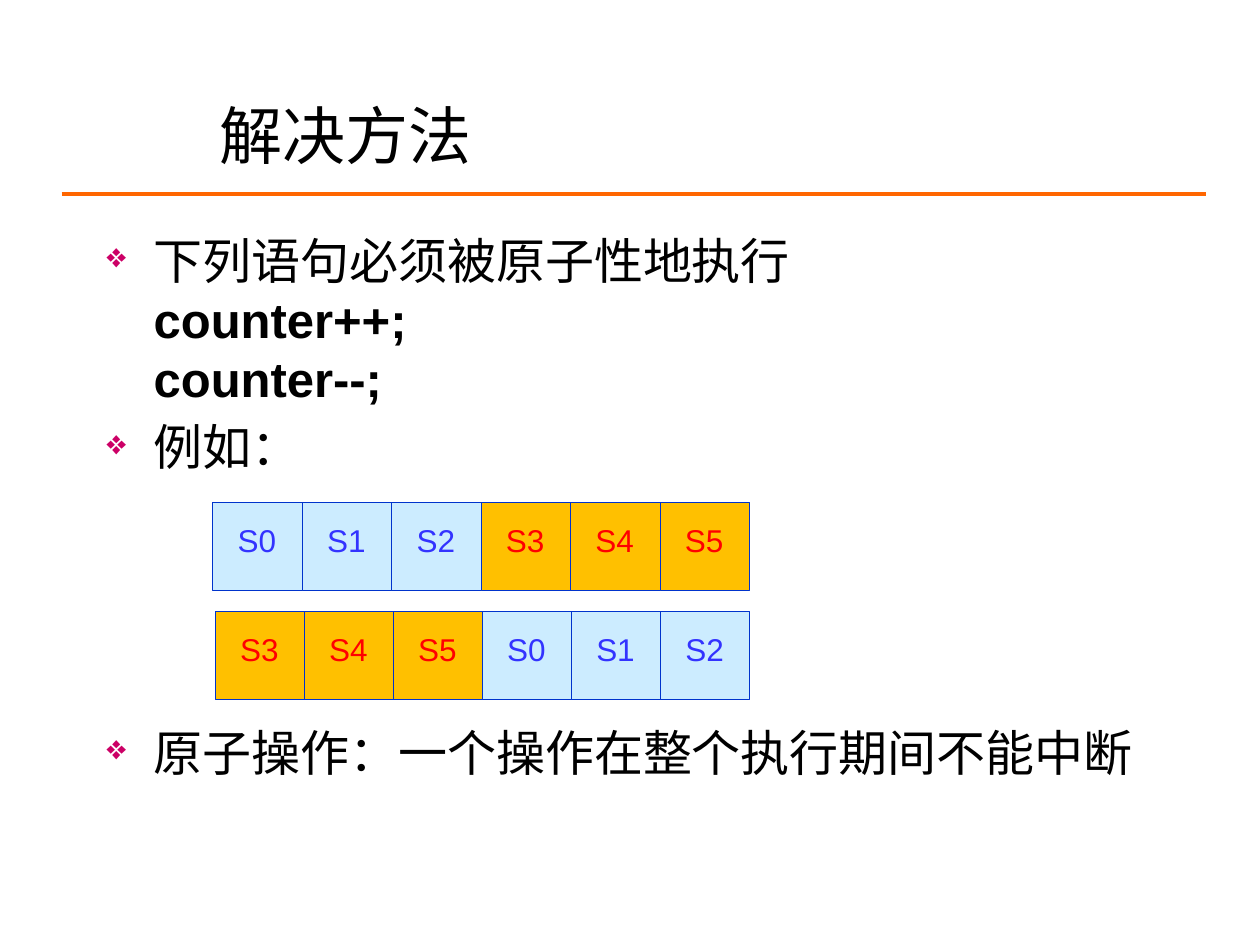
"""Build the slide on executing statements atomically."""
from dataclasses import dataclass

from lxml.etree import SubElement
from pptx import Presentation
from pptx.dml.color import RGBColor
from pptx.enum.shapes import MSO_CONNECTOR, MSO_SHAPE
from pptx.enum.text import MSO_ANCHOR, MSO_AUTO_SIZE, PP_ALIGN
from pptx.oxml.ns import qn
from pptx.util import Cm, Pt


@dataclass
class Bullet:
    text: str
    code: tuple[str, ...] = ()
    before: float = 5.6


@dataclass
class Sequence:
    left: float
    top: float
    steps: tuple[str, ...]


COUNTER_STEPS = ("S0", "S1", "S2")
OTHER_STEPS = ("S3", "S4", "S5")
ROW_RIGHT = 15.11
CELL_HEIGHT = 1.78
BULLETS = [
    Bullet("下列语句必须被原子性地执行", ("counter++;", "counter--;"), 0),
    Bullet("例如："),
    Bullet("原子操作：一个操作在整个执行期间不能中断", before=141),
]
SEQUENCES = [
    Sequence(4.29, 10.13, COUNTER_STEPS + OTHER_STEPS),
    Sequence(4.34, 12.32, OTHER_STEPS + COUNTER_STEPS),
]


def rgb(value: str) -> RGBColor:
    """Turn a hex string into a colour."""
    return RGBColor.from_string(value)


def add_text(p, text: str, *, size: float = 28, color: str = "000000", bold: bool = False) -> None:
    """Append a formatted run to a paragraph."""
    r = p.add_run()
    r.text = text
    r.font.name = "Arial"
    r.font.size = Pt(size)
    r.font.bold = bold
    r.font.color.rgb = rgb(color)


def add_title(s, text: str) -> None:
    """Place and fill the title placeholder."""
    sp = s.shapes.title
    sp.left, sp.top, sp.width, sp.height = Cm(4.17), Cm(1.9), Cm(18.44), Cm(1.63)
    tf = sp.text_frame
    tf.vertical_anchor = MSO_ANCHOR.MIDDLE
    p = tf.paragraphs[0]
    p.alignment = PP_ALIGN.LEFT
    add_text(p, text, size=36)


def add_rule(s) -> None:
    """Draw the rule below the title."""
    sp = s.shapes.add_connector(MSO_CONNECTOR.STRAIGHT, Cm(1.24), Cm(3.91), Cm(24.31), Cm(3.91))
    sp.line.color.rgb = rgb("FF6600")
    sp.line.width = Pt(2.25)
    SubElement(sp.element.spPr, qn("a:effectLst"))


def set_bullet(p) -> None:
    """Give a paragraph a hanging diamond bullet."""
    pPr = p._p.get_or_add_pPr()
    pPr.set("marL", str(Cm(0.95)))
    pPr.set("indent", str(-Cm(0.95)))
    SubElement(SubElement(pPr, qn("a:buClr")), qn("a:srgbClr"), val="CC0066")
    SubElement(pPr, qn("a:buSzPct"), val="70000")
    SubElement(pPr, qn("a:buChar"), char="❖")


def add_body(s, bullets: list[Bullet]) -> None:
    """Write the bulleted text."""
    tf = s.shapes.add_textbox(Cm(1.9), Cm(4.52), Cm(22.61), Cm(12.8)).text_frame
    tf.word_wrap = True
    for i, bullet in enumerate(bullets):
        p = tf.add_paragraph() if i else tf.paragraphs[0]
        set_bullet(p)
        p.space_before = Pt(bullet.before)
        add_text(p, bullet.text)
        for line in bullet.code:
            p.add_line_break()
            add_text(p, line, bold=True)


def add_sequence(s, seq: Sequence) -> None:
    """Draw one row of steps as a group of cells."""
    group = s.shapes.add_group_shape()
    width = (ROW_RIGHT - seq.left) / len(seq.steps)
    for i, step in enumerate(seq.steps):
        fill, color = ("CCECFF", "3333FF") if step in COUNTER_STEPS else ("FFC000", "FF0000")
        sp = group.shapes.add_shape(
            MSO_SHAPE.RECTANGLE, Cm(seq.left + i * width), Cm(seq.top), Cm(width), Cm(CELL_HEIGHT)
        )
        sp.shadow.inherit = False
        sp.fill.solid()
        sp.fill.fore_color.rgb = rgb(fill)
        sp.line.color.rgb = rgb("0033CC")
        sp.line.width = Pt(0.5)
        tf = sp.text_frame
        tf.margin_left = tf.margin_right = tf.margin_top = tf.margin_bottom = Cm(0.5)
        tf.vertical_anchor = MSO_ANCHOR.TOP
        tf.word_wrap = False
        tf.auto_size = MSO_AUTO_SIZE.SHAPE_TO_FIT_TEXT
        p = tf.paragraphs[0]
        p.alignment = PP_ALIGN.LEFT
        add_text(p, step, size=18, color=color)


def main() -> None:
    """Build and save the presentation."""
    prs = Presentation()
    prs.slide_width, prs.slide_height = Cm(25.4), Cm(19.05)
    s = prs.slides.add_slide(prs.slide_layouts[5])
    add_rule(s)
    add_body(s, BULLETS)
    add_title(s, "解决方法")
    for seq in SEQUENCES:
        add_sequence(s, seq)
    prs.save("out.pptx")


if __name__ == "__main__":
    main()
